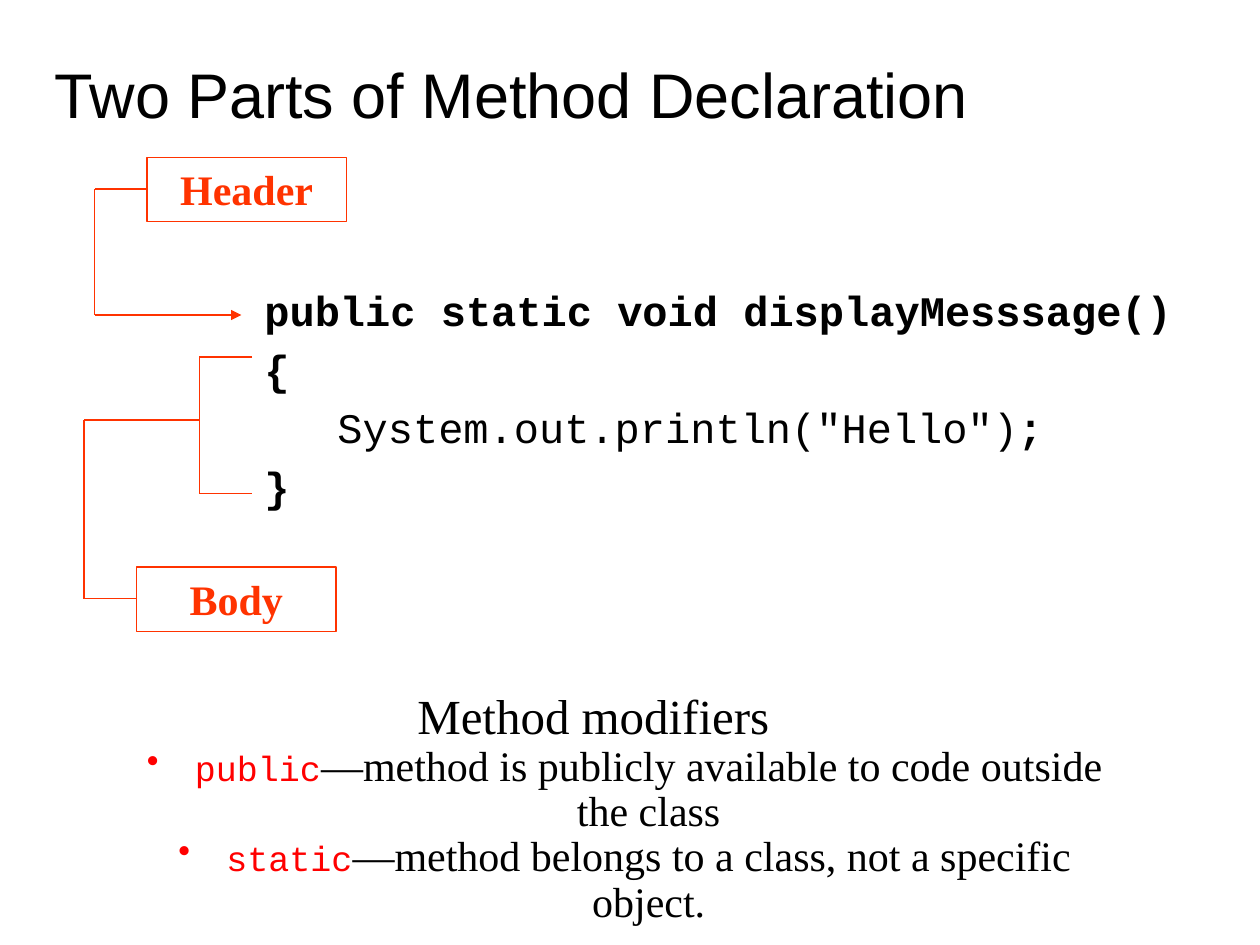
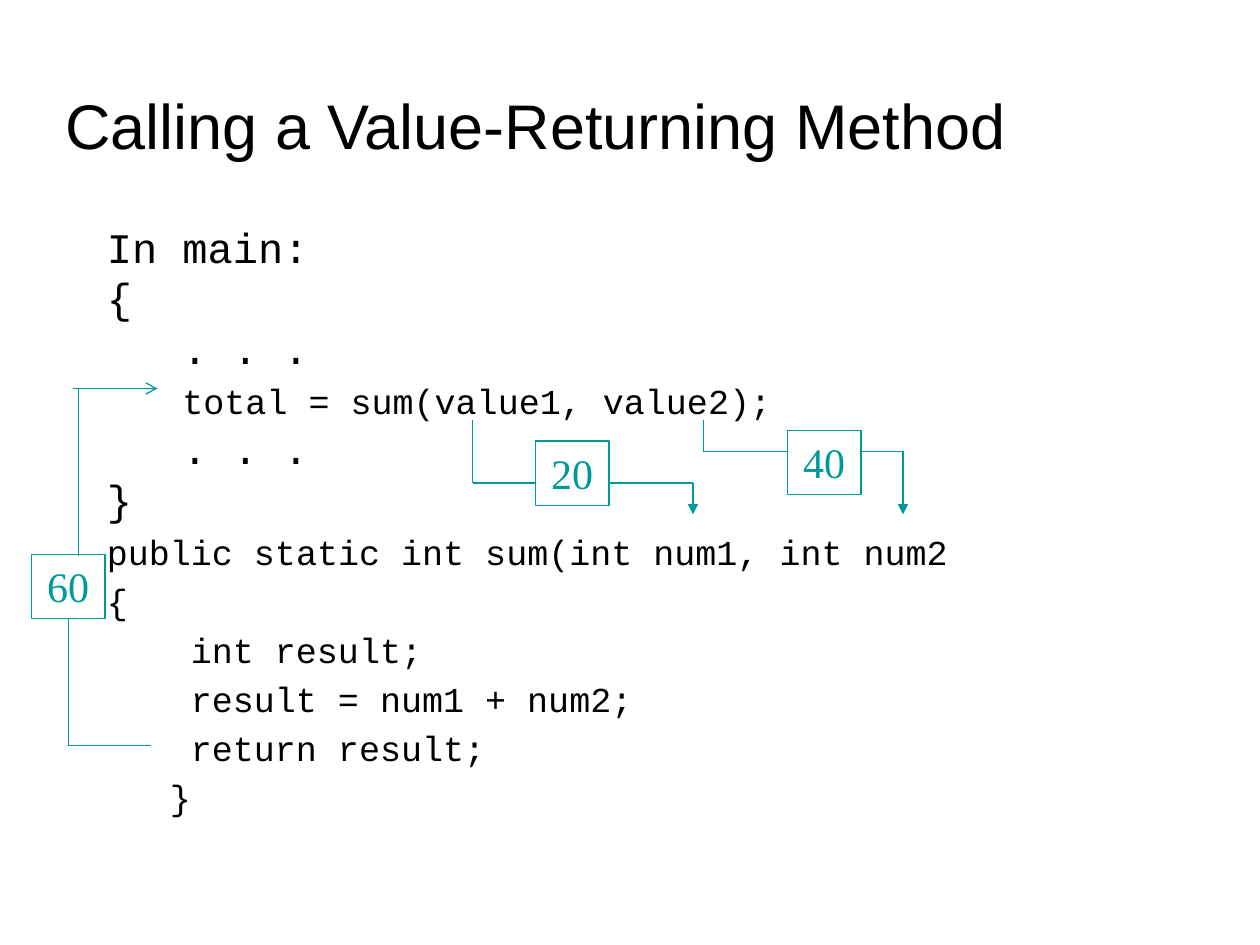
import dataclasses

import pptx
import pptx.dml.color
import pptx.enum.shapes
import pptx.enum.text
import pptx.oxml.ns
import pptx.util
from lxml import etree


@dataclasses.dataclass(frozen=True)
class Style:
    font: str
    size: int
    colour: str
    bold: bool = False


@dataclasses.dataclass(frozen=True)
class Theme:
    orange: str = "FF3300"
    teal: str = "009999"
    white: str = "FFFFFF"
    title: Style = Style("Arial", 36, "000000")
    code: Style = Style("Courier New", 24, "000000")
    code_bold: Style = Style("Courier New", 24, "000000", True)
    code_small: Style = Style("Courier New", 20, "000000")
    keyword: Style = Style("Courier New", 20, "FF0000")
    heading: Style = Style("Times New Roman", 28, "000000")
    prose: Style = Style("Times New Roman", 24, "000000")
    method_label: Style = Style("Times New Roman", 24, "FF3300", True)
    value_label: Style = Style("Times New Roman", 24, "009999")


theme = Theme()
qn = pptx.oxml.ns.qn
rgb = pptx.dml.color.RGBColor.from_string
inches = pptx.util.Inches
align = pptx.enum.text.PP_ALIGN

prs = pptx.Presentation()
prs.slide_width, prs.slide_height = inches(10), inches(7.5)
cell = prs.slide_width / 120  # the slide is a grid of 120 columns and 90 rows


def grid(*cells):
    return [round(n * cell) for n in cells]


def write(frame, paragraphs, alignment=align.LEFT):
    """Fill a frame; each paragraph is (runs, level, left margin, indent, space before, line spacing, bullet)."""
    frame.word_wrap = True
    frame.auto_size = pptx.enum.text.MSO_AUTO_SIZE.NONE
    for i, (runs, level, margin, indent, before, spacing, bullet) in enumerate(paragraphs):
        paragraph = frame.paragraphs[0] if i == 0 else frame.add_paragraph()
        props = paragraph._p.get_or_add_pPr()
        props.set("marL", str(inches(margin)))
        props.set("indent", str(inches(indent)))
        if bullet:
            etree.SubElement(props, qn("a:buChar")).set("char", bullet)
        paragraph.level = level
        paragraph.alignment = alignment
        paragraph.space_before = pptx.util.Pt(before if i else 0)
        paragraph.line_spacing = spacing
        for text, style in runs:
            run = paragraph.add_run()
            run.text = text
            run.font.name = style.font
            run.font.size = pptx.util.Pt(style.size)
            run.font.bold = style.bold
            run.font.color.rgb = rgb(style.colour)


# Runs, level, left margin and indent in inches, space before as a share of type size
declaration_code = [
    ([("public static void displayMesssage()", theme.code_bold)], 0, 0.38, -0.38, 0.2),
    ([("{", theme.code_bold)], 0, 0.38, -0.38, 0.2),
    ([('\t System.out.println("Hello")', theme.code), (";", theme.code_bold)], 0, 0.38, -0.38, 0.2),
    ([("}", theme.code_bold)], 0, 0.38, -0.38, 0.2),
]
calling_code = [
    ([("In main:", theme.code)], 0, 0.38, -0.38, 0),
    ([("{", theme.code)], 0, 0.38, -0.38, 0),
    ([("   . . .", theme.code)], 0, 0.38, -0.38, 0),
    ([("   ", theme.code), ("total = sum(value1, value2);", theme.code_small)], 0, 0.38, -0.38, 0),
    ([("   . . .", theme.code)], 0, 0.38, -0.38, 0),
    ([("}", theme.code)], 0, 0.38, -0.38, 0),
    ([("public static int sum(int num1, int num2", theme.code_small)], 0, 0.38, -0.38, 0.2),
    ([("{", theme.code_small)], 0, 0.38, -0.38, 0.2),
    ([(" int result;", theme.code_small)], 1, 0.81, -0.31, 0.2),
    ([(" result = num1 + num2;", theme.code_small)], 1, 0.81, -0.31, 0.2),
    ([(" return result;", theme.code_small)], 1, 0.81, -0.31, 0.2),
    ([("}", theme.code_small)], 1, 0.5, 0, 0.2),
]

# Each diagram: line colour, label style, label width, labels (text, column, row),
# routes (corner points in columns and rows, arrowhead at the end)
declaration_diagrams = [
    (theme.orange, theme.method_label, 19, [("Body", 13, 54)], [
        ([(24, 34), (19, 34), (19, 47), (24, 47)], None),
        ([(19, 40), (8, 40), (8, 57), (13, 57)], None),
    ]),
    (theme.orange, theme.method_label, 19, [("Header", 14, 15)], [
        ([(14, 18), (9, 18), (9, 30), (23, 30)], "triangle"),
    ]),
]
calling_diagrams = [
    (theme.teal, theme.value_label, 7, [("20", 51, 42), ("40", 75, 41)], [
        ([(45, 40), (45, 46), (51, 46)], None),
        ([(58, 46), (66, 46), (66, 49)], "triangle"),
        ([(67, 40), (67, 43), (75, 43)], None),
        ([(82, 43), (86, 43), (86, 49)], "triangle"),
    ]),
    (theme.teal, theme.value_label, 7, [("60", 3, 52.8)], [
        ([(14.4, 71), (6.5, 71), (6.5, 59)], None),
        ([(7.5, 53), (7.5, 37)], None),
        ([(7, 37), (15, 37)], "arrow"),
    ]),
]

pages = [
    ("Two Parts of Method Declaration", (4, 0, 113, 13.1),
     declaration_code, (24, 26, 91, 28), declaration_diagrams),
    ("Calling a Value-Returning Method", (5, 1, 102, 15),
     calling_code, (9, 20, 109.4, 62), calling_diagrams),
]

for heading, heading_area, code, code_area, diagrams in pages:
    slide = prs.slides.add_slide(prs.slide_layouts[5])
    title = slide.shapes.title
    title.left, title.top, title.width, title.height = grid(*heading_area)
    title.text_frame.vertical_anchor = pptx.enum.text.MSO_ANCHOR.BOTTOM
    write(title.text_frame, [([(heading, theme.title)], 0, 0, 0, 0, 1.0, None)])

    listing = slide.shapes.add_textbox(*grid(*code_area)).text_frame
    listing.margin_right = 0
    listing.margin_top = inches(0.09)
    code_lines = []
    for runs, level, margin, indent, before in code:
        size = runs[0][1].size
        code_lines.append((runs, level, margin, indent, before * size, pptx.util.Pt(1.2 * size), None))
    write(listing, code_lines)

    for colour, label_style, label_width, labels, routes in diagrams:
        diagram = slide.shapes.add_group_shape().shapes
        for text, column, row in labels:
            label = diagram.add_shape(pptx.enum.shapes.MSO_SHAPE.RECTANGLE,
                                      *grid(column, row, label_width, 6.12))
            label.shadow.inherit = False
            label.fill.background()
            label.line.color.rgb = rgb(colour)
            label.line.width = pptx.util.Pt(0.75)
            label.text_frame.vertical_anchor = pptx.enum.text.MSO_ANCHOR.TOP
            write(label.text_frame, [([(text, label_style)], 0, 0, 0, 0, 1.0, None)], align.CENTER)
        for corners, arrowhead in routes:
            for start, end in zip(corners, corners[1:]):
                segment = diagram.add_connector(pptx.enum.shapes.MSO_CONNECTOR.STRAIGHT,
                                                *grid(*start, *end))
                segment.line.color.rgb = rgb(colour)
                segment.line.width = pptx.util.Pt(0.75)
                etree.SubElement(segment._element.spPr, qn("a:effectLst"))
            if arrowhead:
                tail = etree.SubElement(segment.line._get_or_add_ln(), qn("a:tailEnd"))
                tail.set("type", arrowhead)

modifiers = prs.slides[0].shapes.add_textbox(*grid(4, 65.3, 105, 23.76))
modifiers.fill.solid()
modifiers.fill.fore_color.rgb = rgb(theme.white)
modifier_lines = [([("Method modifiers", theme.heading)], 0, 0, 0, 0, 0.9, None)]
for keyword, meaning in [
    ("public", "—method is publicly available to code outside the class"),
    ("static", "—method belongs to a class, not a specific object."),
]:
    modifier_lines.append(([(keyword, theme.keyword), (meaning, theme.prose)], 1, 0.88, -0.38, 0, 0.9, "•"))
write(modifiers.text_frame, modifier_lines, align.CENTER)

prs.save("out.pptx")
